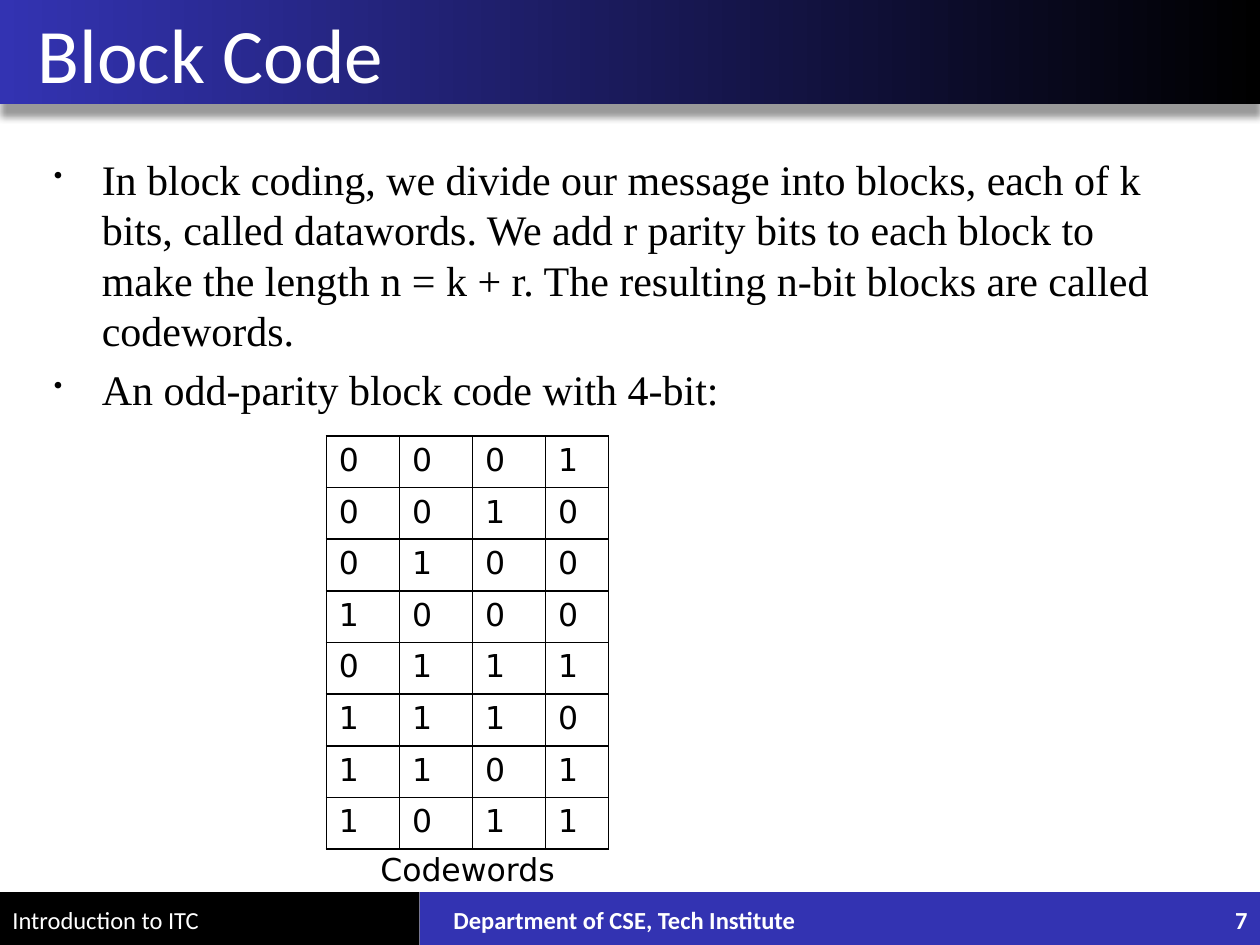
from dataclasses import dataclass

from lxml.etree import SubElement
from pptx import Presentation
from pptx.dml.color import RGBColor
from pptx.enum.shapes import MSO_SHAPE
from pptx.enum.text import MSO_ANCHOR, MSO_AUTO_SIZE, PP_ALIGN
from pptx.oxml.ns import qn
from pptx.util import Inches, Pt


@dataclass(frozen=True)
class Theme:
    black: str = "000000"
    blue: str = "3333B2"
    white: str = "FFFFFF"
    heading_font: str = "Calibri"
    body_font: str = "Times New Roman"
    code_font: str = "DejaVu Sans"
    title_size: int = 44
    body_size: int = 24
    code_size: int = 18
    footer_size: int = 14


class SlideBuilder:
    def __init__(self, slide, theme):
        self.slide = slide
        self.theme = theme

    def band(self, left, top, width, height, color):
        bar = self.slide.shapes.add_shape(
            MSO_SHAPE.RECTANGLE, Inches(left), Inches(top), Inches(width), Inches(height))
        bar.shadow.inherit = False
        bar.line.fill.background()
        bar.fill.solid()
        bar.fill.fore_color.rgb = RGBColor.from_string(color)
        return bar

    def title_band(self, width, height):
        bar = self.band(0, 0, width, height, self.theme.black)
        bar.fill.gradient()
        bar.fill.gradient_angle = 180
        stops = zip(bar.fill.gradient_stops, (self.theme.black, self.theme.blue), (0, 1))
        for stop, color, position in stops:
            stop.color.rgb = RGBColor.from_string(color)
            stop.position = position
        effects = bar._element.spPr.find(qn("a:effectLst"))
        shadow = SubElement(effects, qn("a:outerShdw"), blurRad=str(Pt(4)),
                            dist=str(Pt(7)), dir="5400000", rotWithShape="0")
        shade = SubElement(shadow, qn("a:srgbClr"), val=self.theme.black)
        SubElement(shade, qn("a:alpha"), val="40000")

    def style(self, paragraph, font, size, color, bold=False):
        for run in paragraph.runs:
            run.font.name = font
            run.font.size = Pt(size)
            run.font.bold = bold
            run.font.color.rgb = RGBColor.from_string(color)

    def text(self, left, top, width, height, content, font, size, color,
             bold=False, align=PP_ALIGN.LEFT, anchor=MSO_ANCHOR.MIDDLE, wrap=True):
        frame = self.slide.shapes.add_textbox(
            Inches(left), Inches(top), Inches(width), Inches(height)).text_frame
        frame.word_wrap = wrap
        frame.vertical_anchor = anchor
        frame.text = content
        for paragraph in frame.paragraphs:
            paragraph.alignment = align
            self.style(paragraph, font, size, color, bold)
        return frame

    def title(self, content, width, height):
        frame = self.text(0, 0, width, height, content, self.theme.heading_font,
                          self.theme.title_size, self.theme.white)
        frame.paragraphs[0]._p.get_or_add_pPr().set("marL", str(Inches(0.2)))

    def footer(self, left, width, content, bold=True, align=PP_ALIGN.LEFT):
        self.text(left, 7.1, width, 0.4, content, self.theme.heading_font,
                  self.theme.footer_size, self.theme.white, bold, align)

    def bullets(self, left, top, width, height, points):
        frame = self.text(left, top, width, height, "\n".join(points),
                          self.theme.body_font, self.theme.body_size,
                          self.theme.black, anchor=MSO_ANCHOR.TOP)
        for paragraph in frame.paragraphs:
            paragraph.space_before = Pt(0.2 * self.theme.body_size)
            properties = paragraph._p.get_or_add_pPr()
            properties.set("marL", str(Inches(0.38)))
            properties.set("indent", str(Inches(-0.38)))
            SubElement(properties, qn("a:buSzPct"), val="60000")
            SubElement(properties, qn("a:buChar"), char="•")

    def table(self, left, top, columns, row_height, rows):
        grid = self.slide.shapes.add_table(
            len(rows), len(columns), Inches(left), Inches(top),
            Inches(sum(columns)), Inches(row_height * len(rows))).table
        grid.first_row = grid.horz_banding = False
        for column, width in zip(grid.columns, columns):
            column.width = Inches(width)
        for row, bits in zip(grid.rows, rows):
            row.height = Inches(row_height)
            for cell, bit in zip(row.cells, bits):
                cell.text = bit
                self.style(cell.text_frame.paragraphs[0], self.theme.code_font,
                           self.theme.code_size, self.theme.black)
                self.borders(cell)
                cell.fill.background()

    def borders(self, cell):
        properties = cell._tc.get_or_add_tcPr()
        for side in ("lnL", "lnR", "lnT", "lnB"):
            line = SubElement(properties, qn(f"a:{side}"), w=str(Pt(1)))
            fill = SubElement(line, qn("a:solidFill"))
            SubElement(fill, qn("a:srgbClr"), val=self.theme.black)


def main():
    theme = Theme()
    deck = Presentation()
    deck.slide_width, deck.slide_height = Inches(10), Inches(7.5)
    page = SlideBuilder(deck.slides.add_slide(deck.slide_layouts[6]), theme)

    page.band(3.33, 7.08, 6.67, 0.42, theme.blue)
    page.band(0, 7.08, 3.33, 0.42, theme.black)
    page.title_band(10, 0.83)
    page.footer(0, 3.5, "Introduction to ITC", bold=False)
    page.bullets(0.33, 1.17, 9.17, 5.53, [
        "In block coding, we divide our message into blocks, each of k bits, called "
        "datawords. We add r parity bits to each block to make the length n = k + r. "
        "The resulting n-bit blocks are called codewords.",
        "An odd-parity block code with 4-bit:",
    ])
    page.title("Block Code", 9.75, 0.83)
    page.footer(3.5, 3.58, "Department of CSE, Tech Institute")
    page.footer(9.08, 0.92, "7", align=PP_ALIGN.RIGHT)

    codewords = ["0001", "0010", "0100", "1000", "0111", "1110", "1101", "1011"]
    page.table(2.59, 3.46, [0.58, 0.58, 0.58, 0.5], 0.41, codewords)
    caption = page.text(2.92, 6.7, 1.6, 0.4, "Codewords", theme.code_font,
                        theme.code_size, theme.black, anchor=MSO_ANCHOR.TOP, wrap=False)
    caption.auto_size = MSO_AUTO_SIZE.SHAPE_TO_FIT_TEXT

    deck.save("out.pptx")


if __name__ == "__main__":
    main()
